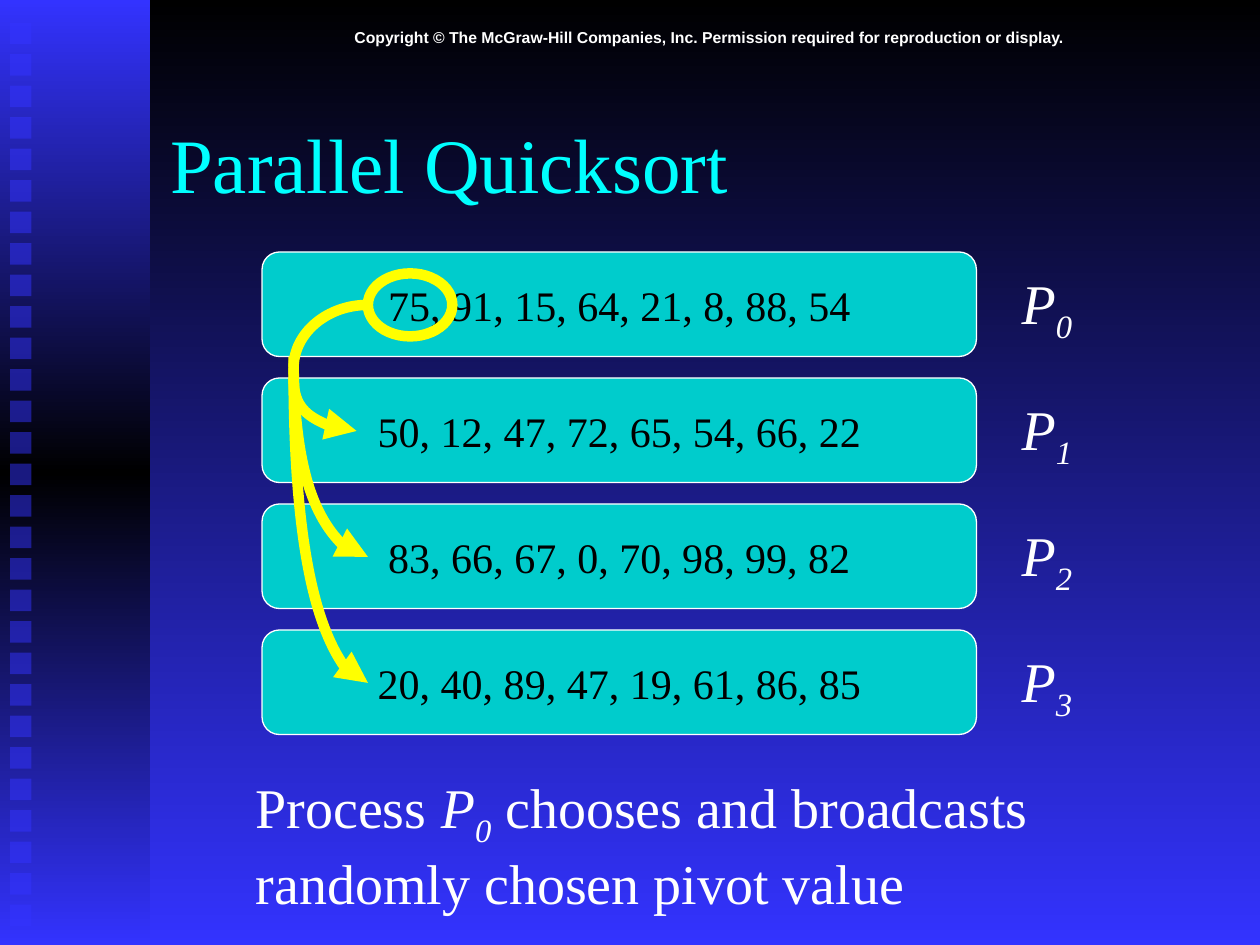
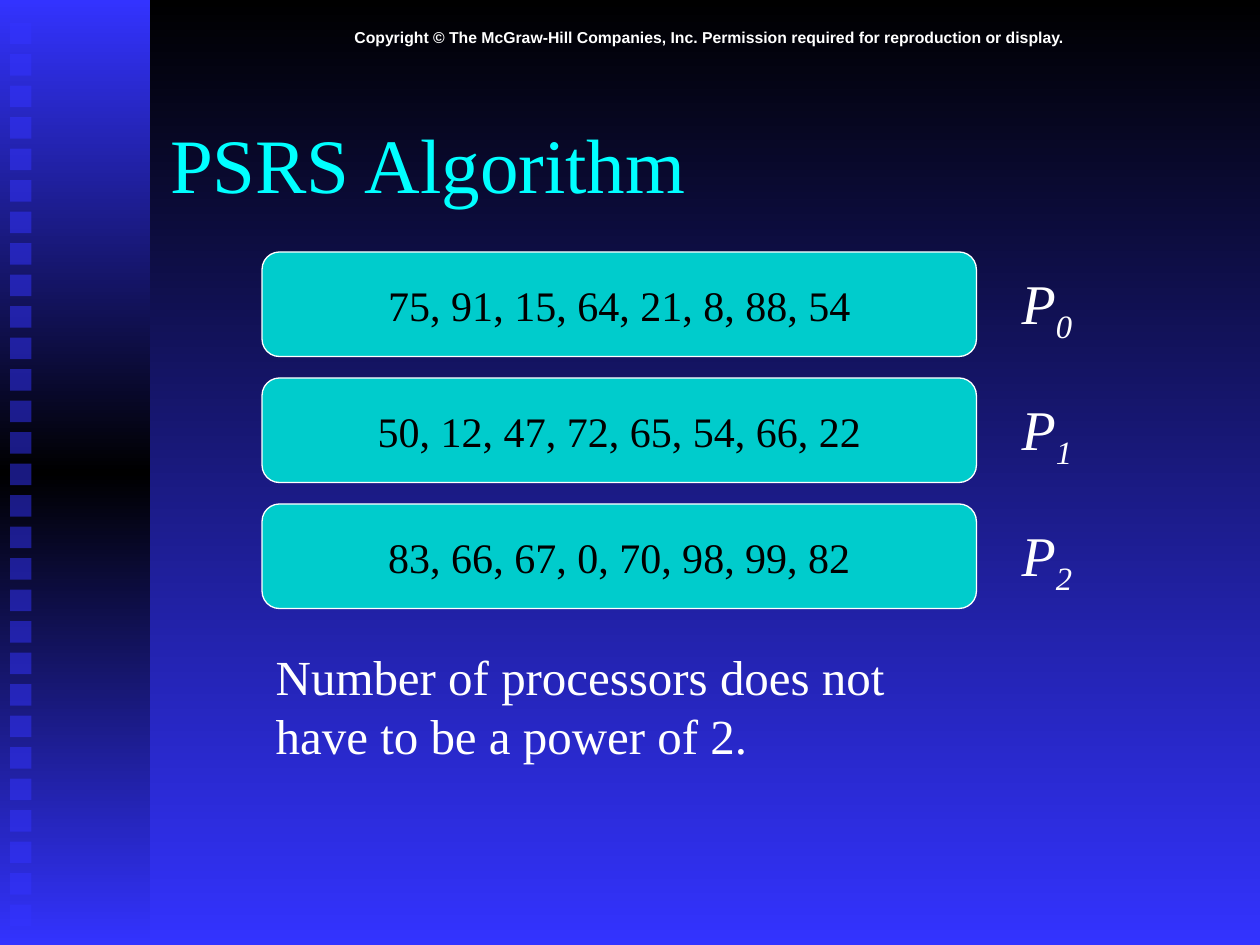
import pptx
import pptx.util
from pptx.dml.color import RGBColor
from pptx.enum.shapes import MSO_SHAPE
from pptx.enum.text import MSO_ANCHOR, MSO_AUTO_SIZE, PP_ALIGN
from pptx.oxml import parse_xml
from pptx.oxml.ns import nsdecls, qn
from pptx.util import Inches

BLUE, BLACK, WHITE = "3333FF", "000000", "FFFFFF"
CYAN, TEAL, YELLOW = "00FFFF", "00CCCC", "FFFF00"
SERIF = "Times New Roman"
TITLE = {"size": 44, "name": SERIF, "color": CYAN}
NUMBERS = {"size": 24, "name": SERIF, "color": BLACK}
LABEL = {"size": 32, "name": SERIF, "color": WHITE}
NOTE = {"size": 28, "name": SERIF, "color": WHITE}
FOOTER = {"size": 9, "name": "Arial", "color": WHITE, "bold": True}
COPYRIGHT = ("Copyright © The McGraw-Hill Companies, Inc. "
             "Permission required for reproduction or display.")
BLOCKS = ["75, 91, 15, 64, 21, 8, 88, 54", "50, 12, 47, 72, 65, 54, 66, 22",
          "83, 66, 67, 0, 70, 98, 99, 82", "20, 40, 89, 47, 19, 61, 86, 85"]
SUB = {"italic": True, "baseline": -25000}


def rgb(value):
    """Turn a hex string into a colour."""
    return RGBColor.from_string(value)


def box(*lengths):
    """Convert left, top, width and height to lengths."""
    return [Inches(v) for v in lengths]


def format_run(r, values):
    """Apply a dict of font values to a run."""
    for key, value in values.items():
        if key == "color":
            r.font.color.rgb = rgb(value)
        elif key == "baseline":
            r._r.get_or_add_rPr().set("baseline", str(value))
        else:
            setattr(r.font, key, pptx.util.Pt(value) if key == "size" else value)


def write(tf, lines, style, align=PP_ALIGN.LEFT, **frame):
    """Fill a text frame with lines made of (text, extra format) runs."""
    for key, value in frame.items():
        setattr(tf, key, value)
    for i, line in enumerate(lines):
        p = tf.add_paragraph() if i else tf.paragraphs[0]
        p.alignment = align
        for text, extra in line:
            r = p.add_run()
            r.text = text
            format_run(r, {**style, **extra})


def add_text(s, at, lines, style, **frame):
    """Add a text box."""
    tf = s.shapes.add_textbox(*box(*at)).text_frame
    write(tf, lines, style,
          **{"word_wrap": False, "auto_size": MSO_AUTO_SIZE.SHAPE_TO_FIT_TEXT, **frame})


def set_gradient(fill, element, colors):
    """Give a fill an even top-to-bottom gradient."""
    fill.gradient()
    fill.gradient_angle = 270
    step = 100000 // (len(colors) - 1)
    stops = "".join(f'<a:gs pos="{i * step}"><a:srgbClr val="{c}"/></a:gs>'
                    for i, c in enumerate(colors))
    old = element.find(".//" + qn("a:gsLst"))
    old.getparent().replace(old, parse_xml(f'<a:gsLst {nsdecls("a")}>{stops}</a:gsLst>'))


def add_shape(shapes, kind, at, fill=None, line=None, width=0.75):
    """Add a flat preset shape."""
    sp = shapes.add_shape(kind, *box(*at))
    style_shape(sp, fill, line, width)
    return sp


def style_shape(sp, fill, line, width):
    """Set fill and line and remove the shadow."""
    sp.shadow.inherit = False
    for part, color in ((sp.fill, fill), (sp.line.fill, line)):
        if color:
            part.solid()
            part.fore_color.rgb = rgb(color)
        else:
            part.background()
    if line:
        sp.line.width = pptx.util.Pt(width)


def add_side_band(s):
    """Draw the gradient band with its column of translucent squares."""
    shapes = s.shapes.add_group_shape().shapes
    band = add_shape(shapes, MSO_SHAPE.RECTANGLE, (0, 0, 1.19, 7.5))
    set_gradient(band.fill, band._element, [BLUE, BLACK, BLUE])
    for i in range(29):
        square = add_shape(shapes, MSO_SHAPE.RECTANGLE,
                           (0.08, 0.18 + 0.25 * i, 0.17, 0.17), BLUE)
        color = square._element.spPr.find(".//" + qn("a:srgbClr"))
        color.append(parse_xml(f'<a:alpha {nsdecls("a")} val="50000"/>'))


def add_slide(prs, title):
    """Add a slide with background, band, copyright line and title."""
    s = prs.slides.add_slide(prs.slide_layouts[5])
    set_gradient(s.background.fill, s._element, [BLACK, BLUE])
    add_side_band(s)
    add_text(s, (1.25, 0.17, 8.75, 0.25), [[(COPYRIGHT, {})]], FOOTER,
             word_wrap=True, align=PP_ALIGN.CENTER)
    sp = s.shapes.title
    sp.left, sp.top, sp.width, sp.height = box(1.25, 0.67, 8.5, 1.25)
    write(sp.text_frame, [[(title, {})]], TITLE, vertical_anchor=MSO_ANCHOR.MIDDLE)
    return s


def add_processes(s, blocks):
    """Draw one block of numbers and one label per process."""
    for i, numbers in enumerate(blocks):
        sp = add_shape(s.shapes, MSO_SHAPE.ROUNDED_RECTANGLE,
                       (2.08, 2 + i, 5.67, 0.83), TEAL, WHITE)
        write(sp.text_frame, [[(numbers, {})]], NUMBERS, align=PP_ALIGN.CENTER,
              word_wrap=False, vertical_anchor=MSO_ANCHOR.MIDDLE)
        add_text(s, (8.01, 2.08 + i, 0.6, 0.71),
                 [[("P", {"italic": True}), (str(i), SUB)]], LABEL)


def add_arc(shapes, tip, hub, arrow=True):
    """Draw a quarter ellipse from tip to hub, with an arrowhead at the tip."""
    builder = shapes.build_freeform(*box(*tip))
    builder.add_line_segments([box(*hub)], close=False)
    sp = builder.convert_to_shape()
    style_shape(sp, None, YELLOW, 6)
    (x, y), (hx, hy) = tip, hub
    bend = 0.55
    controls = [(x + bend * (hx - x), y), (hx, hy + bend * (y - hy)), hub]
    points = "".join(f'<a:pt x="{Inches(px) - sp.left}" y="{Inches(py) - sp.top}"/>'
                     for px, py in controls)
    segment = sp._element.find(".//" + qn("a:lnTo"))
    segment.getparent().replace(segment, parse_xml(
        f'<a:cubicBezTo {nsdecls("a")}>{points}</a:cubicBezTo>'))
    if arrow:
        sp.line._get_or_add_ln().append(
            parse_xml(f'<a:headEnd {nsdecls("a")} type="triangle"/>'))


def add_broadcast(s):
    """Circle the pivot and draw arrows to the other processes."""
    add_shape(s.shapes, MSO_SHAPE.OVAL, (2.92, 2.17, 0.67, 0.5), None, YELLOW, 6)
    shapes = s.shapes.add_group_shape().shapes
    add_arc(shapes, (2.92, 2.42), (2.33, 2.92), arrow=False)
    for tip, hub_y in (((2.92, 4.42), 2.83), ((2.83, 3.42), 3), ((2.92, 5.42), 2.92)):
        add_arc(shapes, tip, (2.33, hub_y))


def main():
    """Build the two slides."""
    prs = pptx.Presentation()
    prs.slide_width, prs.slide_height = Inches(10), Inches(7.5)

    s = add_slide(prs, "Parallel Quicksort")
    add_processes(s, BLOCKS)
    add_broadcast(s)
    add_text(s, (1.93, 6.08, 6.4, 1.24),
             [[("Process ", {}), ("P", {"italic": True}), ("0", SUB),
               (" chooses and broadcasts", {})],
              [("randomly chosen pivot value", {})]], LABEL)

    s = add_slide(prs, "PSRS Algorithm")
    add_processes(s, BLOCKS[:3])
    add_text(s, (2.09, 5.08, 5.03, 1.04),
             [[("Number of processors does not", {})],
              [("have to be a power of 2.", {})]], NOTE)
    prs.save("out.pptx")


if __name__ == "__main__":
    main()
